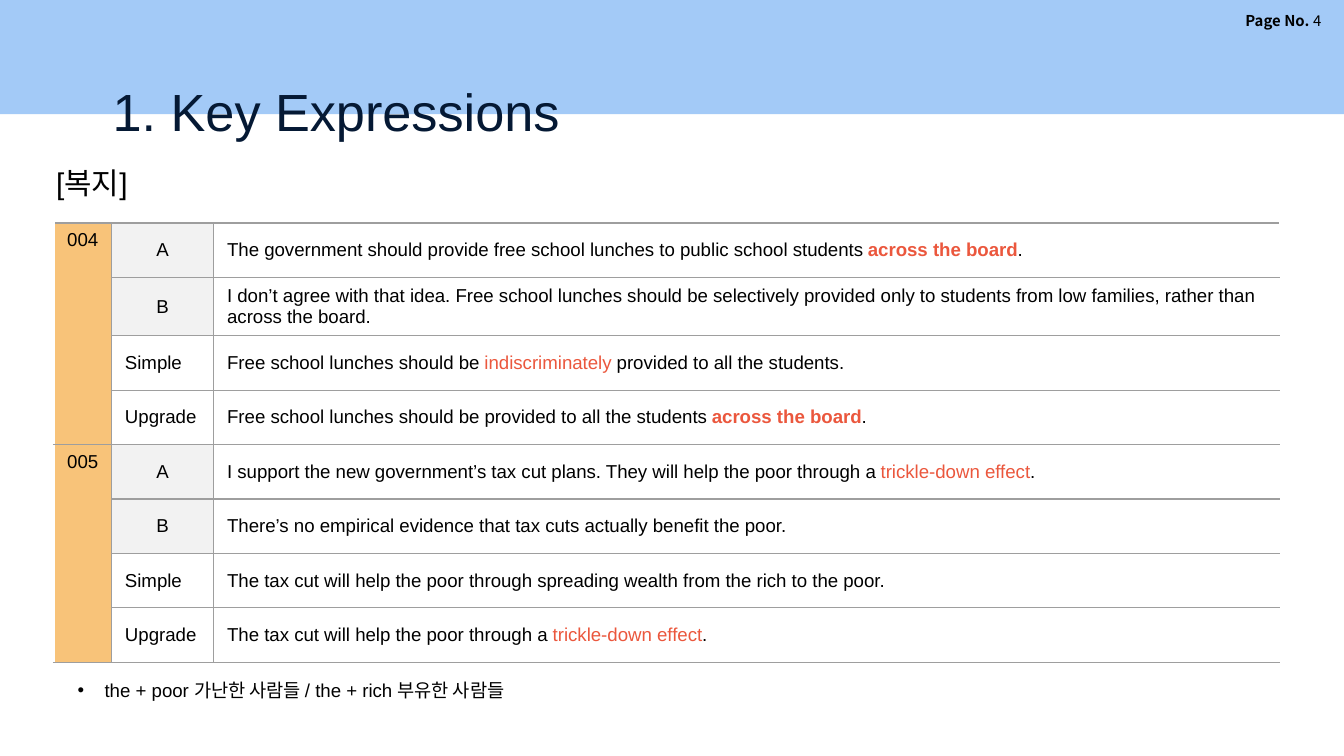
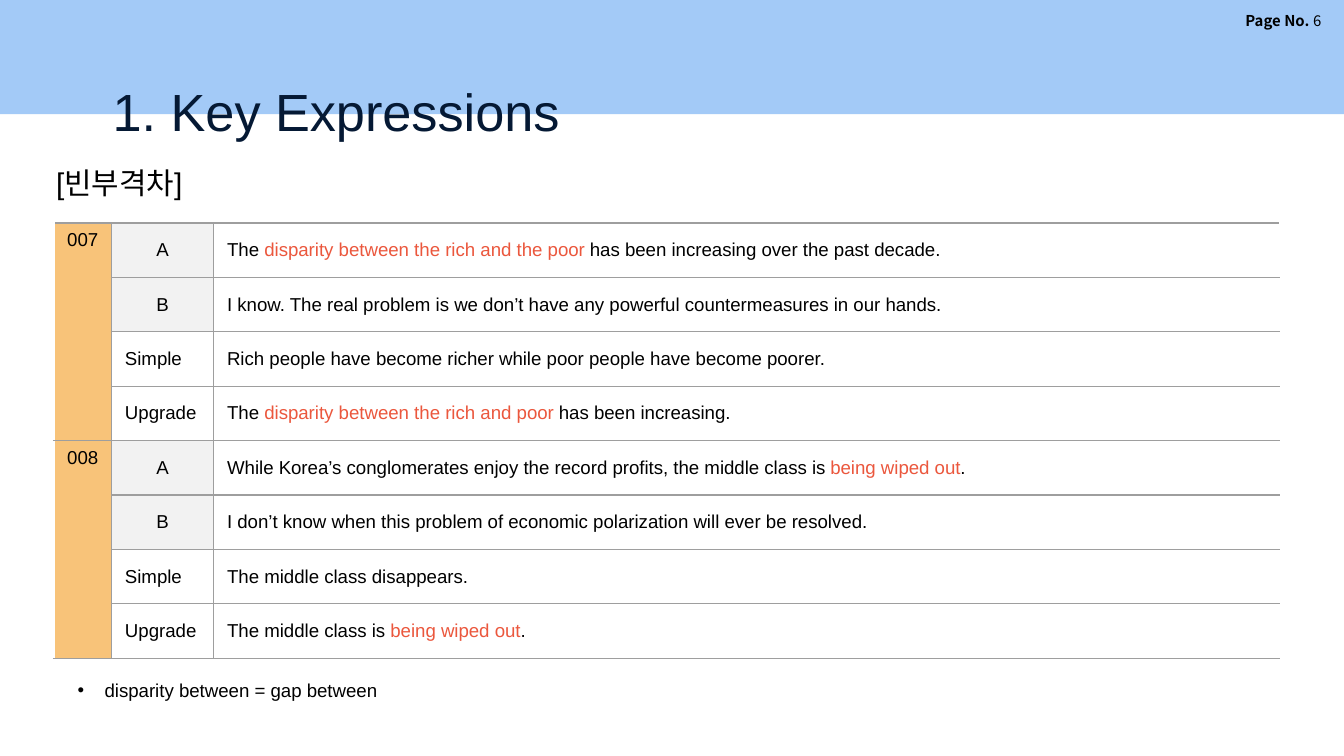
from dataclasses import dataclass

import lxml.etree
import pptx
import pptx.dml.color
import pptx.enum.shapes
import pptx.enum.text
import pptx.oxml
import pptx.oxml.ns
import pptx.util

Inches = pptx.util.Inches
RGBColor = pptx.dml.color.RGBColor
Align = pptx.enum.text.PP_ALIGN
Anchor = pptx.enum.text.MSO_ANCHOR

BLACK = RGBColor(0x00, 0x00, 0x00)
WHITE = RGBColor(0xFF, 0xFF, 0xFF)
NAVY = RGBColor(0x05, 0x19, 0x34)
BAND_BLUE = RGBColor(0xA3, 0xCA, 0xF7)
NUMBER_ORANGE = RGBColor(0xF8, 0xC3, 0x79)
SPEAKER_GRAY = RGBColor(0xF2, 0xF2, 0xF2)
BORDER_GRAY = RGBColor(0x9E, 0x9E, 0x9E)
ACCENT = RGBColor(0xEB, 0x57, 0x3D)

FONT = "Arial"
PAGE_FONT = "Noto Sans CJK KR"
TITLE = "1. Key Expressions"
LABELS = ("A", "B", "Simple", "Upgrade")
SPEAKERS = ("A", "B")
SLIDE_WIDTH = 10
COLUMN_WIDTHS = (0.43, 0.76, 7.93)
TABLE_HEIGHT = 3.24


@dataclass(frozen=True)
class Piece:
    text: str
    color: RGBColor | None = None
    bold: bool | None = None


@dataclass(frozen=True)
class Expression:
    number: str
    sentences: tuple[tuple[Piece, ...], ...]


@dataclass(frozen=True)
class Lesson:
    page: int
    topic: str
    topic_width: float
    expressions: tuple[Expression, ...]
    note: str
    note_height: float


def plain(text: str) -> tuple[Piece, ...]:
    return (Piece(text),)


def marked(before: str, key: str, after: str, bold: bool | None = None) -> tuple[Piece, ...]:
    return Piece(before), Piece(key, ACCENT, bold), Piece(after)


LESSONS = (
    Lesson(4, "[복지]", 0.99, (
        Expression("004", (
            marked("The government should provide free school lunches to public school students ",
                   "across the board", ".", True),
            plain("I don’t agree with that idea. Free school lunches should be selectively provided "
                  "only to students from low families, rather than across the board."),
            marked("Free school lunches should be ", "indiscriminately ",
                   "provided to all the students."),
            marked("Free school lunches should be provided to all the students ",
                   "across the board", ".", True),
        )),
        Expression("005", (
            marked("I support the new government’s tax cut plans. They will help the poor through a ",
                   "trickle-down effect", "."),
            plain("There’s no empirical evidence that tax cuts actually benefit the poor."),
            plain("The tax cut will help the poor through spreading wealth from the rich to the poor."),
            marked("The tax cut will help the poor through a ", "trickle-down effect", "."),
        )),
    ), "the + poor 가난한 사람들 / the + rich 부유한 사람들", 0.44),
    Lesson(6, "[빈부격차]", 1.93, (
        Expression("007", (
            marked("The ", "disparity between the rich and the poor ",
                   "has been increasing over the past decade."),
            plain("I know. The real problem is we don’t have any powerful countermeasures in our hands."),
            plain("Rich people have become richer while poor people have become poorer."),
            marked("The ", "disparity between the rich and poor ", "has been increasing."),
        )),
        Expression("008", (
            marked("While Korea’s conglomerates enjoy the record profits, the middle class is ",
                   "being wiped out", "."),
            plain("I don’t know when this problem of economic polarization will ever be resolved."),
            plain("The middle class disappears."),
            marked("The middle class is ", "being wiped out", "."),
        )),
    ), "disparity between = gap between", 0.27),
)


def write(paragraph, pieces: tuple[Piece, ...], size: float = 10,
          color: RGBColor = BLACK, name: str = FONT) -> None:
    paragraph.font.name = name
    paragraph.font.size = pptx.util.Pt(size)
    paragraph.font.color.rgb = color
    for piece in pieces:
        run = paragraph.add_run()
        run.text = piece.text
        if piece.color is not None:
            run.font.color.rgb = piece.color
        if piece.bold is not None:
            run.font.bold = piece.bold


def add_text_box(slide, left: float, top: float, width: float, height: float):
    frame = slide.shapes.add_textbox(
        Inches(left), Inches(top), Inches(width), Inches(height)).text_frame
    frame.word_wrap = True
    return frame


def add_child(parent, tag: str, **attributes: str):
    return lxml.etree.SubElement(parent, pptx.oxml.ns.qn(tag), attributes)


def add_header(slide, page: int) -> None:
    band = slide.shapes.add_shape(
        pptx.enum.shapes.MSO_SHAPE.RECTANGLE, 0, 0, Inches(SLIDE_WIDTH), Inches(0.85))
    band.shadow.inherit = False
    band.fill.solid()
    band.fill.fore_color.rgb = BAND_BLUE
    band.line.fill.background()

    page_paragraph = add_text_box(slide, 8.48, 0.04, 1.45, 0.23).paragraphs[0]
    page_paragraph.alignment = Align.RIGHT
    write(page_paragraph, (Piece("Page No. ", bold=True), Piece(str(page))), 8, name=PAGE_FONT)

    title = add_text_box(slide, 0.74, 0.49, 7.73, 0.63)
    title.margin_top = title.margin_bottom = Inches(0.1)
    write(title.paragraphs[0], plain(TITLE), 28, NAVY)


def set_borders(cell, white_side: str | None) -> None:
    properties = cell._tc.get_or_add_tcPr()
    for side in ("lnL", "lnR", "lnT", "lnB"):
        color, points = (WHITE, 1) if side == white_side else (BORDER_GRAY, 0.75)
        line = add_child(properties, f"a:{side}", w=str(pptx.util.Pt(points)))
        add_child(add_child(line, "a:solidFill"), "a:srgbClr", val=str(color))


def set_cell(cell, pieces: tuple[Piece, ...], fill: RGBColor | None = None,
             anchor: Anchor = Anchor.MIDDLE, alignment: Align | None = None) -> None:
    if fill is None:
        cell.fill.background()
    else:
        cell.fill.solid()
        cell.fill.fore_color.rgb = fill
    cell.vertical_anchor = anchor
    paragraph = cell.text_frame.paragraphs[0]
    paragraph.alignment = alignment
    write(paragraph, pieces)


def add_expression_table(slide, expressions: tuple[Expression, ...]) -> None:
    row_count = len(expressions) * len(LABELS)
    table = slide.shapes.add_table(
        row_count, len(COLUMN_WIDTHS), Inches(0.4), Inches(1.66),
        Inches(sum(COLUMN_WIDTHS)), Inches(TABLE_HEIGHT)).table
    table.first_row = False
    table.horz_banding = False
    for column, width in zip(table.columns, COLUMN_WIDTHS):
        column.width = Inches(width)
    for row in table.rows:
        row.height = Inches(TABLE_HEIGHT / row_count)
        for cell, white_side in zip(row.cells, ("lnL", None, "lnR")):
            set_borders(cell, white_side)

    for index, expression in enumerate(expressions):
        first = index * len(LABELS)
        number_cell = table.cell(first, 0)
        number_cell.merge(table.cell(first + len(LABELS) - 1, 0))
        number_cell.margin_right = Inches(0.05)
        set_cell(number_cell, plain(expression.number), NUMBER_ORANGE, Anchor.TOP)
        for row, (label, sentence) in enumerate(zip(LABELS, expression.sentences), first):
            speaker = label in SPEAKERS
            set_cell(table.cell(row, 1), plain(label), SPEAKER_GRAY if speaker else None,
                     alignment=Align.CENTER if speaker else None)
            set_cell(table.cell(row, 2), sentence)
            if row > first:
                spanned_paragraph = table.cell(row, 0).text_frame.paragraphs[0]
                add_child(spanned_paragraph._p, "a:endParaRPr", sz="1000")


def add_note(slide, note: str, height: float) -> None:
    paragraph = add_text_box(slide, 0.48, 5, 8.52, height).paragraphs[0]
    properties = paragraph._p.get_or_add_pPr()
    properties.set("marL", str(Inches(0.2)))
    properties.set("indent", str(Inches(-0.2)))
    add_child(add_child(properties, "a:buClr"), "a:srgbClr", val=str(BLACK))
    add_child(properties, "a:buFont", typeface=FONT)
    add_child(properties, "a:buChar", char="•")
    write(paragraph, plain(note))


def add_lesson(presentation, lesson: Lesson) -> None:
    slide = presentation.slides.add_slide(presentation.slide_layouts[6])
    add_header(slide, lesson.page)
    add_expression_table(slide, lesson.expressions)
    topic = add_text_box(slide, 0.32, 1.18, lesson.topic_width, 0.37)
    write(topic.paragraphs[0], plain(lesson.topic), 16)
    add_note(slide, lesson.note, lesson.note_height)


def main() -> None:
    presentation = pptx.Presentation()
    presentation.slide_width = Inches(SLIDE_WIDTH)
    presentation.slide_height = Inches(SLIDE_WIDTH * 9 / 16)
    for lesson in LESSONS:
        add_lesson(presentation, lesson)
    presentation.save("out.pptx")


if __name__ == "__main__":
    main()
